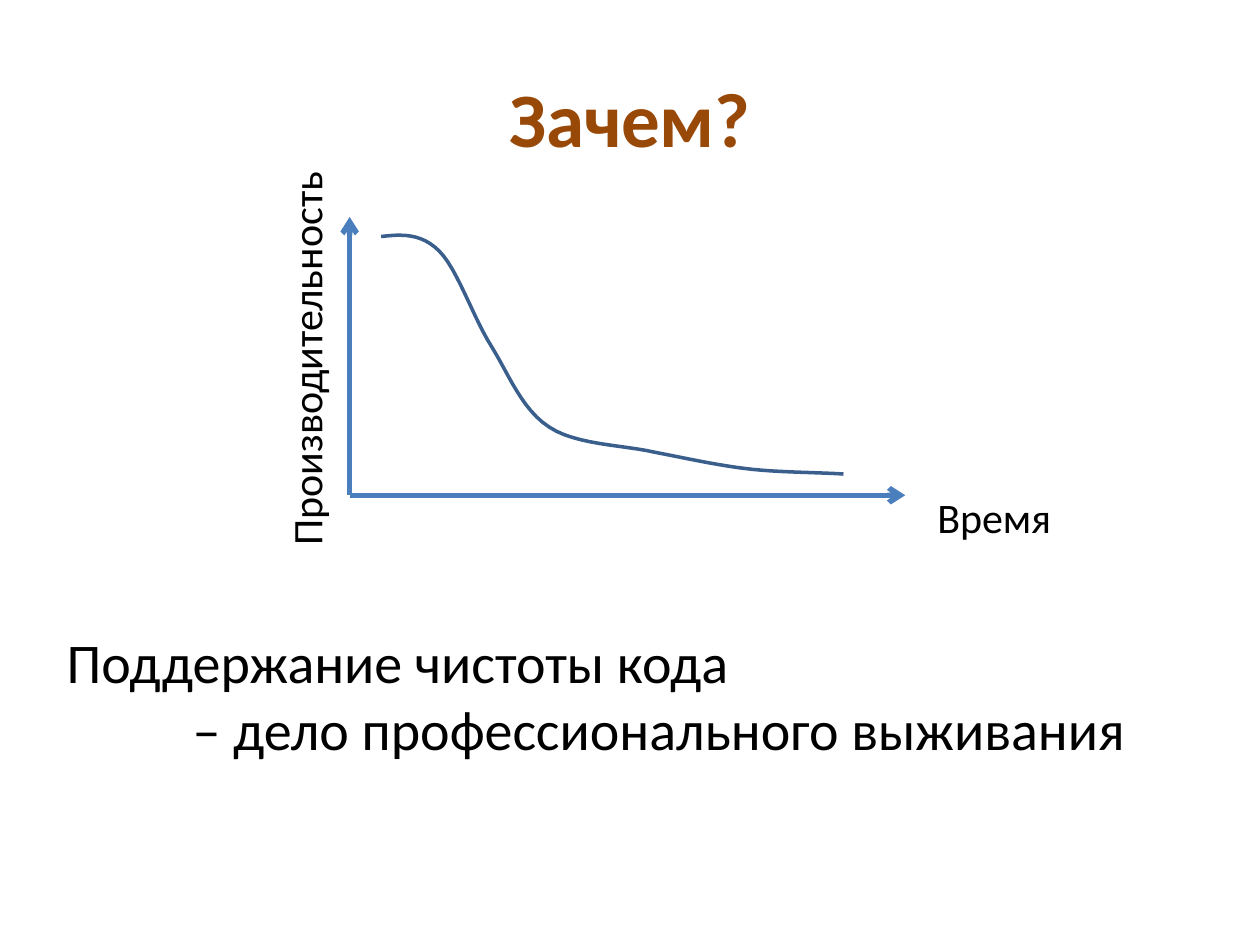
from lxml.etree import SubElement
from pptx import Presentation
from pptx.dml.color import RGBColor
from pptx.enum.shapes import MSO_CONNECTOR as Connector
from pptx.enum.text import MSO_ANCHOR as Anchor, PP_ALIGN as Align
from pptx.oxml.ns import qn
from pptx.util import Pt

ORIGIN = (199.8, 283)
AXIS_ENDS = [(199.8, 124), (517.3, 283)]
CURVE_START = (217.8, 135.2)
CURVE_SEGMENTS = [
    [(229.3, 133.8), (240.8, 133.2), (251, 143.5)],
    [(261.6, 154.1), (270.3, 181.4), (281, 198.2)],
    [(291.2, 214.8), (298.3, 234), (313.9, 244.1)],
    [(329, 254.2), (355.7, 254.2), (374.4, 258.5)],
    [(393.1, 262.1), (409, 265.7), (426.2, 267.8)],
    [(443.5, 270), (469.4, 270), (482, 270.9)],
]


def color(hex_string):
    """Return the colour for a hex string."""
    return RGBColor.from_string(hex_string)


def set_attributes(target, values):
    """Set each attribute named in a dict of format values."""
    for name, value in values.items():
        setattr(target, name, value)


def add_text(slide, box, lines, size, hex_string="000000", frame_format=None,
             font_format=None, align=Align.LEFT, rotation=0):
    """Add a text box whose lines are parted by line breaks and return its paragraph."""
    shape = slide.shapes.add_textbox(*map(Pt, box))
    shape.rotation = rotation
    frame = shape.text_frame
    set_attributes(frame, {"word_wrap": True, **(frame_format or {})})
    paragraph = frame.paragraphs[0]
    paragraph.alignment = align
    for index, line in enumerate(lines):
        if index:
            paragraph.add_line_break()
        run = paragraph.add_run()
        run.text = line
        set_attributes(run.font, {"name": "Calibri", "size": Pt(size), **(font_format or {})})
        run.font.color.rgb = color(hex_string)
    return paragraph


def add_tab_stop(paragraph, position):
    """Give a paragraph a left tab stop."""
    tabs = SubElement(paragraph._p.get_or_add_pPr(), qn("a:tabLst"))
    SubElement(tabs, qn("a:tab"), pos=str(Pt(position)), algn="l")


def style_line(shape, hex_string, width):
    """Give a shape its line colour and width."""
    shape.line.color.rgb = color(hex_string)
    shape.line.width = Pt(width)


def add_axis(slide, start, end):
    """Add a straight axis with an open arrowhead at its end."""
    axis = slide.shapes.add_connector(Connector.STRAIGHT, *map(Pt, start + end))
    style_line(axis, "4B7EBC", 3)
    SubElement(axis.line._get_or_add_ln(), qn("a:tailEnd"), type="arrow")
    SubElement(axis._element.spPr, qn("a:effectLst"))


def curve_points(start, segments, steps=12):
    """Return points along a chain of cubic Bezier segments."""
    points = []
    for segment in segments:
        controls = [start, *segment]
        for step in range(1, steps + 1):
            t = step / steps
            weights = ((1 - t) ** 3, 3 * t * (1 - t) ** 2, 3 * t ** 2 * (1 - t), t ** 3)
            points.append(tuple(
                Pt(sum(weight * value for weight, value in zip(weights, values)))
                for values in zip(*controls)))
        start = segment[-1]
    return points


def add_curve(slide, start, segments):
    """Add an open, unfilled curve."""
    builder = slide.shapes.build_freeform(*map(Pt, start))
    builder.add_line_segments(curve_points(start, segments), close=False)
    curve = builder.convert_to_shape()
    curve.shadow.inherit = False
    curve.fill.background()
    style_line(curve, "3A5F8C", 2)


def main():
    """Build the slide and save it."""
    presentation = Presentation()
    set_attributes(presentation, {"slide_width": Pt(720), "slide_height": Pt(540)})
    slide = presentation.slides.add_slide(presentation.slide_layouts[6])
    add_text(slide, (36, 21.6, 648, 90), ["Зачем?"], 44, "984807",
             {"vertical_anchor": Anchor.MIDDLE}, {"bold": True}, Align.CENTER)
    for end in AXIS_ENDS:
        add_axis(slide, ORIGIN, end)
    add_curve(slide, CURVE_START, CURVE_SEGMENTS)
    label_format = {"word_wrap": False}
    add_text(slide, (528.5, 277.2, 80.6, 36), ["Время"], 24, frame_format=label_format)
    add_text(slide, (59.8, 186, 229.7, 36), ["Производительность"], 24,
             frame_format=label_format, rotation=270)
    motto = add_text(slide, (31, 355, 674.6, 85),
                     ["Поддержание чистоты кода ", "\t– дело профессионального выживания"], 32)
    add_tab_stop(motto, 72)
    presentation.save("out.pptx")


if __name__ == "__main__":
    main()
